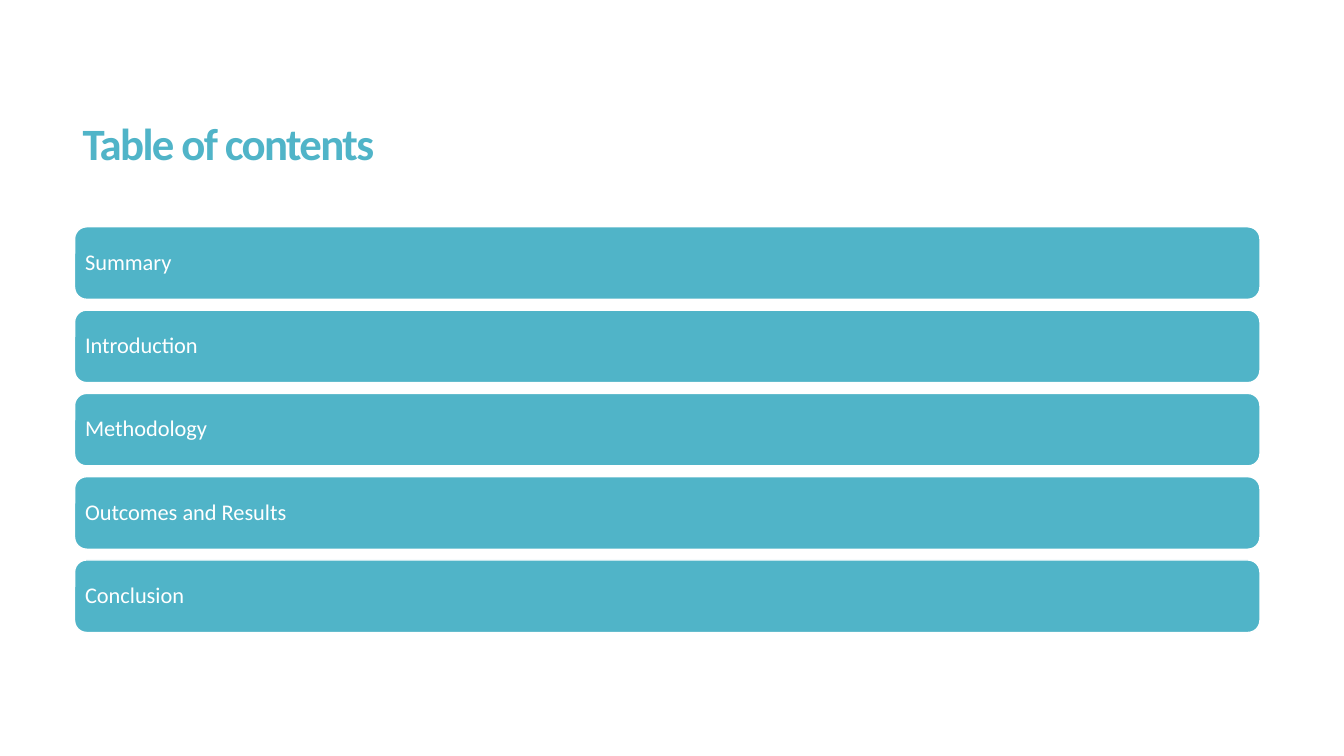
"""Build a table-of-contents slide with one rounded bar per section."""
import dataclasses

import pptx
import pptx.dml.color
import pptx.enum.shapes
import pptx.enum.text
import pptx.util

Pt = pptx.util.Pt


@dataclasses.dataclass(frozen=True)
class Theme:
    font: str = "Calibri"
    accent: str = "50B4C8"
    light: str = "FFFFFF"
    title_size: float = 32
    section_size: float = 16


THEME = Theme()
SECTIONS = ["Summary", "Introduction", "Methodology", "Outcomes and Results", "Conclusion"]
BAR_LEFT, BAR_TOP, BAR_WIDTH, BAR_HEIGHT = 53.3, 162, 846.7, 51.8
BAR_STEP = 59.5


def color(code):
    return pptx.dml.color.RGBColor.from_string(code)


def write_text(shape, text, *, size, fill, bold=False, tracking=0,
               line_spacing=1.0, space_after=0, inset_x=7.2, inset_y=3.6):
    frame = shape.text_frame
    frame.word_wrap = True
    frame.auto_size = pptx.enum.text.MSO_AUTO_SIZE.NONE
    frame.vertical_anchor = pptx.enum.text.MSO_ANCHOR.MIDDLE
    frame.margin_left = frame.margin_right = Pt(inset_x)
    frame.margin_top = frame.margin_bottom = Pt(inset_y)
    para = frame.paragraphs[0]
    para.alignment = pptx.enum.text.PP_ALIGN.LEFT
    para.line_spacing = line_spacing
    para.space_before = Pt(0)
    para.space_after = Pt(space_after)
    span = para.add_run()
    span.text = text
    span.font.name = THEME.font
    span.font.size = Pt(size)
    span.font.bold = bold
    span.font.color.rgb = color(fill)
    if tracking:
        span._r.get_or_add_rPr().set("spc", str(round(tracking * 100)))


def set_title(page, text):
    title = page.shapes.title
    title.left, title.top = Pt(51.8), Pt(39.6)
    title.width, title.height = Pt(848.2), Pt(130.3)
    write_text(title, text, size=THEME.title_size, fill=THEME.accent,
               bold=True, tracking=-1.2, line_spacing=0.85)


def add_section_bar(page, text, top):
    bar = page.shapes.add_shape(
        pptx.enum.shapes.MSO_SHAPE.ROUNDED_RECTANGLE,
        Pt(BAR_LEFT), Pt(top), Pt(BAR_WIDTH), Pt(BAR_HEIGHT))
    bar.shadow.inherit = False
    bar.fill.solid()
    bar.fill.fore_color.rgb = color(THEME.accent)
    bar.line.color.rgb = color(THEME.light)
    bar.line.width = Pt(1)
    write_text(bar, text, size=THEME.section_size, fill=THEME.light,
               line_spacing=0.9, space_after=5.6, inset_x=5, inset_y=5)


def main():
    deck = pptx.Presentation()
    deck.slide_width, deck.slide_height = Pt(960), Pt(540)
    page = deck.slides.add_slide(deck.slide_layouts.get_by_name("Title Only"))
    set_title(page, "Table of contents")
    for index, section in enumerate(SECTIONS):
        add_section_bar(page, section, BAR_TOP + index * BAR_STEP)
    deck.save("out.pptx")


if __name__ == "__main__":
    main()
